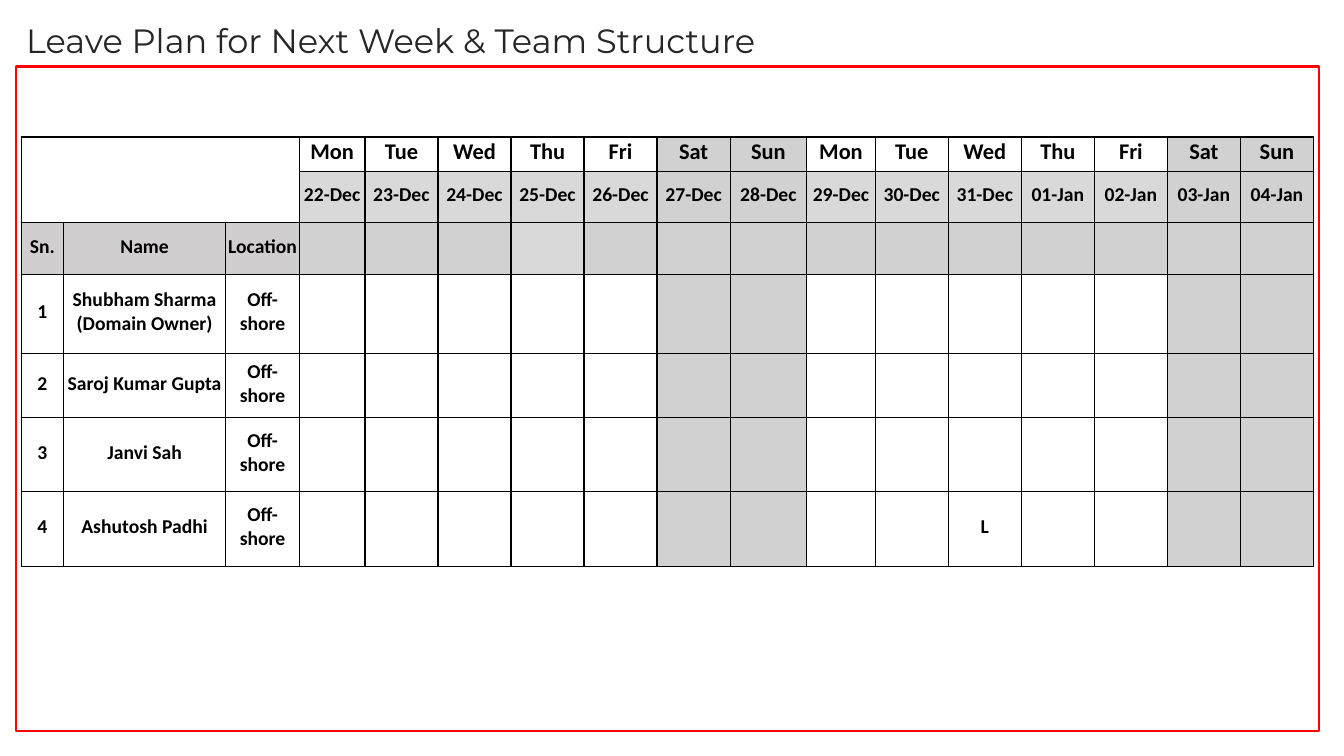
from dataclasses import dataclass

from lxml import etree
from pptx import Presentation
from pptx.dml.color import RGBColor as Rgb
from pptx.enum.shapes import MSO_SHAPE as Shape
from pptx.enum.text import MSO_ANCHOR as Anchor, MSO_AUTO_SIZE as AutoSize, PP_ALIGN as Align
from pptx.oxml.ns import qn
from pptx.util import Inches, Pt


@dataclass(frozen=True)
class Theme:
    title_font: str = "Montserrat"
    table_font: str = "Calibri"
    title_size: int = 24
    day_size: int = 16
    body_size: int = 14
    title_color: str = "262625"
    ink: str = "000000"
    frame: str = "FF0000"
    weekend: str = "D1D1D1"
    date: str = "D9D9D9"
    label: str = "D0CECE"


class SlideBuilder:
    def __init__(self, page, theme):
        self.page = page
        self.theme = theme

    def frame(self, left, top, width, height):
        box = self.page.shapes.add_shape(
            Shape.RECTANGLE, Inches(left), Inches(top), Inches(width), Inches(height))
        box.shadow.inherit = False
        box.fill.background()
        box.line.color.rgb = Rgb.from_string(self.theme.frame)
        box.line.width = Pt(1.5)

    def title(self, text, left, top, width, height):
        box = self.page.shapes.add_textbox(
            Inches(left), Inches(top), Inches(width), Inches(height))
        box.text_frame.word_wrap = True
        box.text_frame.auto_size = AutoSize.SHAPE_TO_FIT_TEXT
        para = box.text_frame.paragraphs[0]
        para.text = text
        self.style(para, self.theme.title_font, self.theme.title_size, self.theme.title_color)

    def table(self, left, top, widths, heights):
        graphic = self.page.shapes.add_table(
            len(heights), len(widths), Inches(left), Inches(top),
            Inches(sum(widths)), Inches(sum(heights)))
        table = graphic.table
        table.first_row = table.horz_banding = False
        for column, width in zip(table.columns, widths):
            column.width = Inches(width)
        for row, height in zip(table.rows, heights):
            row.height = Inches(height)
        return table

    def cell(self, cell, text, size, fill):
        self.borders(cell)
        if fill:
            cell.fill.solid()
            cell.fill.fore_color.rgb = Rgb.from_string(fill)
        else:
            cell.fill.background()
        cell.vertical_anchor = Anchor.MIDDLE
        cell.margin_left = cell.margin_right = cell.margin_top = Inches(0.01)
        cell.margin_bottom = Inches(0.05)
        cell.text = text
        for para in cell.text_frame.paragraphs:
            para.alignment = Align.CENTER
            self.style(para, self.theme.table_font, size, self.theme.ink, bold=True)

    def borders(self, cell):
        properties = cell._tc.get_or_add_tcPr()
        for side in ("a:lnL", "a:lnR", "a:lnT", "a:lnB"):
            line = etree.SubElement(properties, qn(side), w=str(Pt(1)))
            fill = etree.SubElement(line, qn("a:solidFill"))
            etree.SubElement(fill, qn("a:srgbClr"), val=self.theme.ink)

    def style(self, para, font, size, color, bold=False):
        para.font.name = font
        para.font.size = Pt(size)
        para.font.bold = bold
        para.font.color.rgb = Rgb.from_string(color)


# Calendar and team
DAYS = ["Mon", "Tue", "Wed", "Thu", "Fri", "Sat", "Sun"] * 2
DATES = [f"{day}-Dec" for day in range(22, 32)] + [f"{day:02}-Jan" for day in range(1, 5)]
LABELS = ["Sn.", "Name", "Location"]
TEAM = ["Shubham Sharma\n(Domain Owner)", "Saroj Kumar Gupta", "Janvi Sah", "Ashutosh Padhi"]
LEAVE = {("Ashutosh Padhi", "31-Dec")}
HOLIDAY = "25-Dec"

# Table measures: most days share the width left by the others
TABLE_WIDTH = 12.82
LABEL_WIDTHS = [0.42, 1.61, 0.73]
SPECIAL_WIDTHS = {"22-Dec": 0.65, "28-Dec": 0.76, "29-Dec": 0.68}
DAY_WIDTH = ((TABLE_WIDTH - sum(LABEL_WIDTHS) - sum(SPECIAL_WIDTHS.values()))
             / (len(DATES) - len(SPECIAL_WIDTHS)))
WIDTHS = LABEL_WIDTHS + [SPECIAL_WIDTHS.get(date, DAY_WIDTH) for date in DATES]
HEIGHTS = [0.34, 0.51, 0.51, 0.79, 0.63, 0.74, 0.74]


def plan_rows():
    blank = [""] * len(LABELS)
    rows = [blank + DAYS, blank + DATES, LABELS + [""] * len(DATES)]
    for number, name in enumerate(TEAM, 1):
        marks = ["L" if (name, date) in LEAVE else "" for date in DATES]
        rows.append([str(number), name, "Off-shore"] + marks)
    return rows


def cell_fill(theme, row, column):
    day = column - len(LABELS)
    if day < 0:
        return theme.label if row == 2 else None
    if DAYS[day] in ("Sat", "Sun"):
        return theme.weekend
    if row == 1 or (row == 2 and DATES[day] == HOLIDAY):
        return theme.date
    return theme.weekend if row == 2 else None


def main():
    deck = Presentation()
    deck.slide_width, deck.slide_height = Inches(13.33), Inches(7.5)
    theme = Theme()
    builder = SlideBuilder(deck.slides.add_slide(deck.slide_layouts[6]), theme)

    # Frame and title
    builder.frame(0.16, 0.66, 12.92, 6.59)
    builder.title("Leave Plan for Next Week & Team Structure", 0.16, 0.15, 8.24, 0.5)

    # Leave plan
    table = builder.table(0.21, 1.36, WIDTHS, HEIGHTS)
    for row, texts in enumerate(plan_rows()):
        size = theme.day_size if row == 0 else theme.body_size
        for column, text in enumerate(texts):
            builder.cell(table.cell(row, column), text, size, cell_fill(theme, row, column))
    table.cell(0, 0).merge(table.cell(1, len(LABELS) - 1))

    deck.save("out.pptx")


if __name__ == "__main__":
    main()
